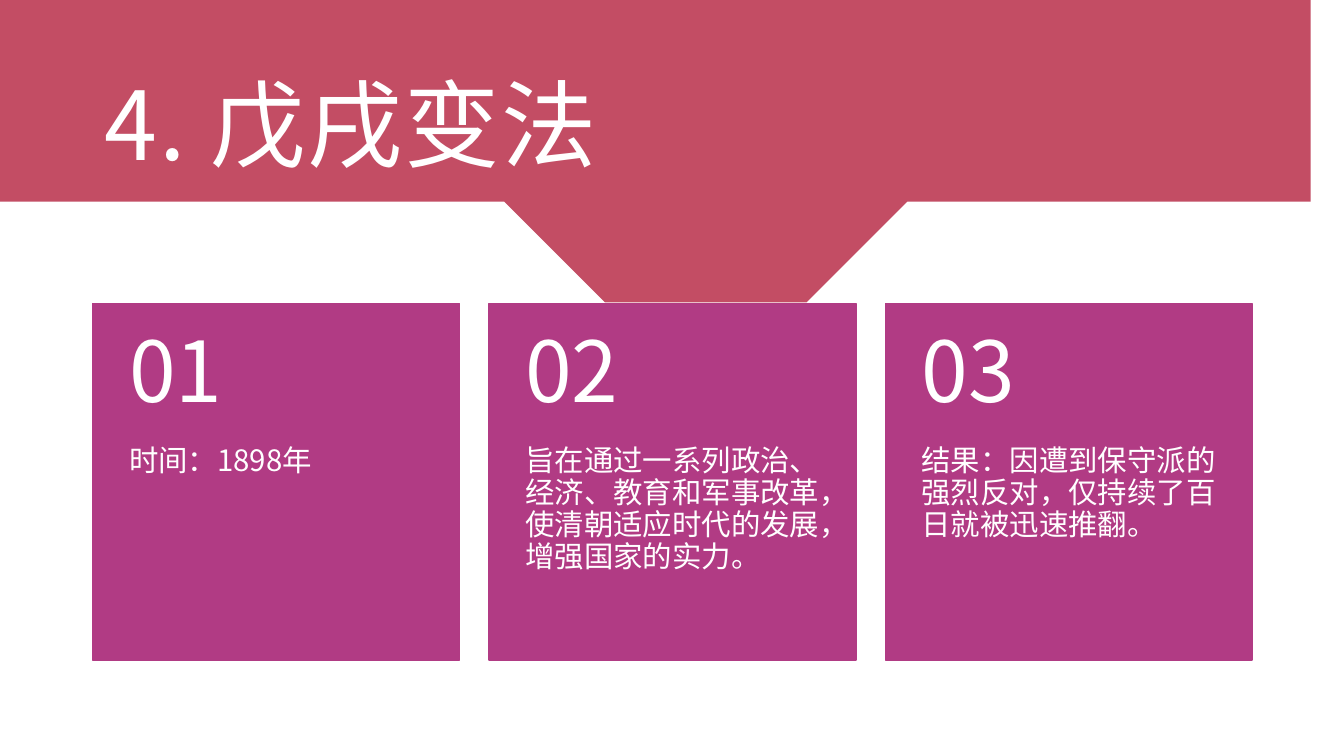
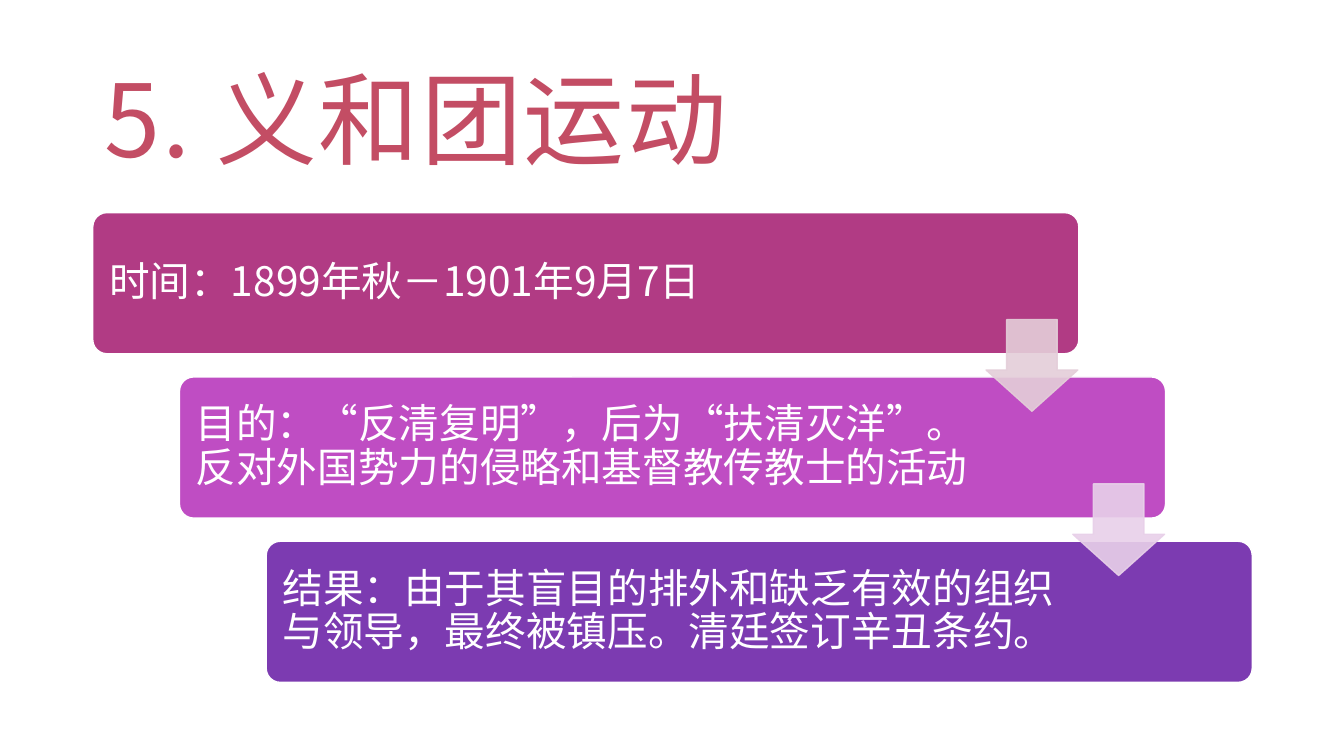
from lxml.etree import SubElement
from pptx import Presentation
from pptx.dml.color import RGBColor
from pptx.enum.lang import MSO_LANGUAGE_ID as Lang
from pptx.enum.shapes import MSO_SHAPE as Shape
from pptx.enum.text import MSO_ANCHOR as Anchor, MSO_AUTO_SIZE as Fit, PP_ALIGN as Align
from pptx.oxml.ns import qn
from pptx.util import Inches, Pt

FONT = "Noto Sans CJK SC"
HUE = {
    "white": "FFFFFF", "rose": "C34D64", "plum": "B13B84",
    "orchid": "BF4DC3", "violet": "7C3BB1",
    "blush": "E4CED9", "lilac": "E8D0E9",
}

REFORM = "4. 戊戌变法"
CARDS = [
    ("01", "时间：1898年"),
    ("02", "旨在通过一系列政治、经济、教育和军事改革，使清朝适应时代的发展，增强国家的实力。"),
    ("03", "结果：因遭到保守派的强烈反对，仅持续了百日就被迅速推翻。"),
]
REVOLT = "5. 义和团运动"
STEPS = [
    ("时间：1899年秋－1901年9月7日", "plum"),
    ("目的：“反清复明”，后为“扶清灭洋”。反对外国势力的侵略和基督教传教士的活动", "orchid"),
    ("结果：由于其盲目的排外和缺乏有效的组织与领导，最终被镇压。清廷签订辛丑条约。", "violet"),
]
ARROWS = ["blush", "lilac"]

# Outline of the curved header, clockwise, in inches
CURVE = [
    (0, 0), (13.33, 0), (13.33, 1.9), (13.09, 1.95), (12.46, 2.07), (11.75, 2.18),
    (11.86, 2.17), (12.66, 2.1), (13.33, 2.02), (13.33, 2.09), (12.66, 2.16),
    (11.62, 2.25), (10.72, 2.32), (10.11, 2.38), (9.55, 2.43), (8.82, 2.48),
    (8.37, 2.51), (7.14, 2.54), (6.76, 2.57), (6.54, 2.56), (5.87, 2.55),
    (4.8, 2.5), (4.2, 2.47), (3.75, 2.44), (3.08, 2.39), (2.53, 2.33),
    (2.04, 2.28), (1.6, 2.23), (1.15, 2.17), (0.65, 2.09), (0.04, 1.99),
    (0, 1.98), (0, 1.92), (0.54, 2.02), (1.04, 2.09), (1.47, 2.15),
    (2.06, 2.22), (2.64, 2.29), (3.26, 2.34), (4, 2.4), (4.54, 2.43),
    (5, 2.45), (4.57, 2.42), (4.03, 2.38), (3.39, 2.33), (2.84, 2.27),
    (2.29, 2.21), (1.58, 2.13), (1.11, 2.06), (0.65, 1.99), (0.22, 1.92), (0, 1.88),
]


def rgb(name):
    return RGBColor.from_string(HUE[name])


def write(shape, text, size, pad, anchor, hue="white", lead=0.9, track=0):
    """Put one run in a shape; pad is left, top, right, bottom in inches."""
    frame = shape.text_frame
    frame.word_wrap = True
    frame.auto_size = Fit.NONE
    frame.vertical_anchor = anchor
    (frame.margin_left, frame.margin_top,
     frame.margin_right, frame.margin_bottom) = map(Inches, pad)
    para = frame.paragraphs[0]
    para.alignment = Align.LEFT
    para.line_spacing = lead
    run = para.add_run()
    run.text = text
    run.font.size = Pt(size)
    run.font.color.rgb = rgb(hue)
    run.font.language_id = Lang.SIMPLIFIED_CHINESE
    run.font.name = FONT
    props = run._r.get_or_add_rPr()
    SubElement(props, qn("a:ea"), typeface=FONT)
    if track:
        props.set("spc", str(round(track * 100)))


def paint(shape, fill, line=None, alpha=None):
    shape.shadow.inherit = False
    shape.fill.solid()
    shape.fill.fore_color.rgb = rgb(fill)
    if line:
        shape.line.color.rgb = rgb(line)
        shape.line.width = Pt(1)
    else:
        shape.line.fill.background()
    if alpha:
        for color in shape._element.spPr.iter(qn("a:srgbClr")):
            SubElement(color, qn("a:alpha"), val=str(alpha * 1000))


def block(slide, kind, box, adjust=()):
    shape = slide.shapes.add_shape(kind, *map(Inches, box))
    for i, value in enumerate(adjust):
        shape.adjustments[i] = value
    return shape


def head(slide, text, top, high, size, hue):
    title = slide.shapes.title
    title.left, title.top, title.width, title.height = map(Inches, (0.92, top, 11.5, high))
    write(title, text, size, (0.12, 0.12, 0.12, 0.1), Anchor.MIDDLE, hue, 1.05, 1.2)


def reform(slide):
    pen = slide.shapes.build_freeform(*CURVE[0], scale=Inches(1))
    pen.add_line_segments(CURVE[1:], close=True)
    band = pen.convert_to_shape()
    paint(band, "rose")
    tree = slide.shapes._spTree
    tree.remove(band._element)
    tree.insert(2, band._element)  # behind the title
    head(slide, REFORM, 0.44, 1.47, 68, "white")
    top, wide, high, label = 3.01, 3.64, 3.54, 1.42
    for i, (num, text) in enumerate(CARDS):
        left = 0.92 + i * 3.93
        card = block(slide, Shape.RECTANGLE, (left, top, wide, high))
        paint(card, "plum", "plum")
        write(card, text, 21, (0.36, label, 0.36, 0.36), Anchor.TOP)
        tag = slide.shapes.add_textbox(*map(Inches, (left, top, wide, label)))
        write(tag, num, 60, (0.36, 0.18, 0.36, 0.18), Anchor.MIDDLE)


def revolt(slide):
    head(slide, REVOLT, 0.4, 1.45, 72, "rose")
    right, down = 0.86, 1.63
    for i, (text, hue) in enumerate(STEPS):
        bar = block(slide, Shape.ROUNDED_RECTANGLE,
                    (0.92 + i * right, 2.11 + i * down, 9.78, 1.4), [0.1])
        paint(bar, hue, "white")
        write(bar, text, 29, (0.12, 0.12, 1.9, 0.12), Anchor.MIDDLE)
    for i, hue in enumerate(ARROWS):
        arrow = block(slide, Shape.DOWN_ARROW,
                      (9.78 + i * right, 3.17 + i * down, 0.91, 0.91))
        # width of the shaft, then length of the head
        arrow.adjustments[0], arrow.adjustments[1] = 0.55, 0.45
        paint(arrow, hue, hue, 90)


def main():
    deck = Presentation()
    deck.slide_width, deck.slide_height = Inches(13.33), Inches(7.5)
    for build in (reform, revolt):
        build(deck.slides.add_slide(deck.slide_layouts[5]))
    deck.save("out.pptx")


if __name__ == "__main__":
    main()
